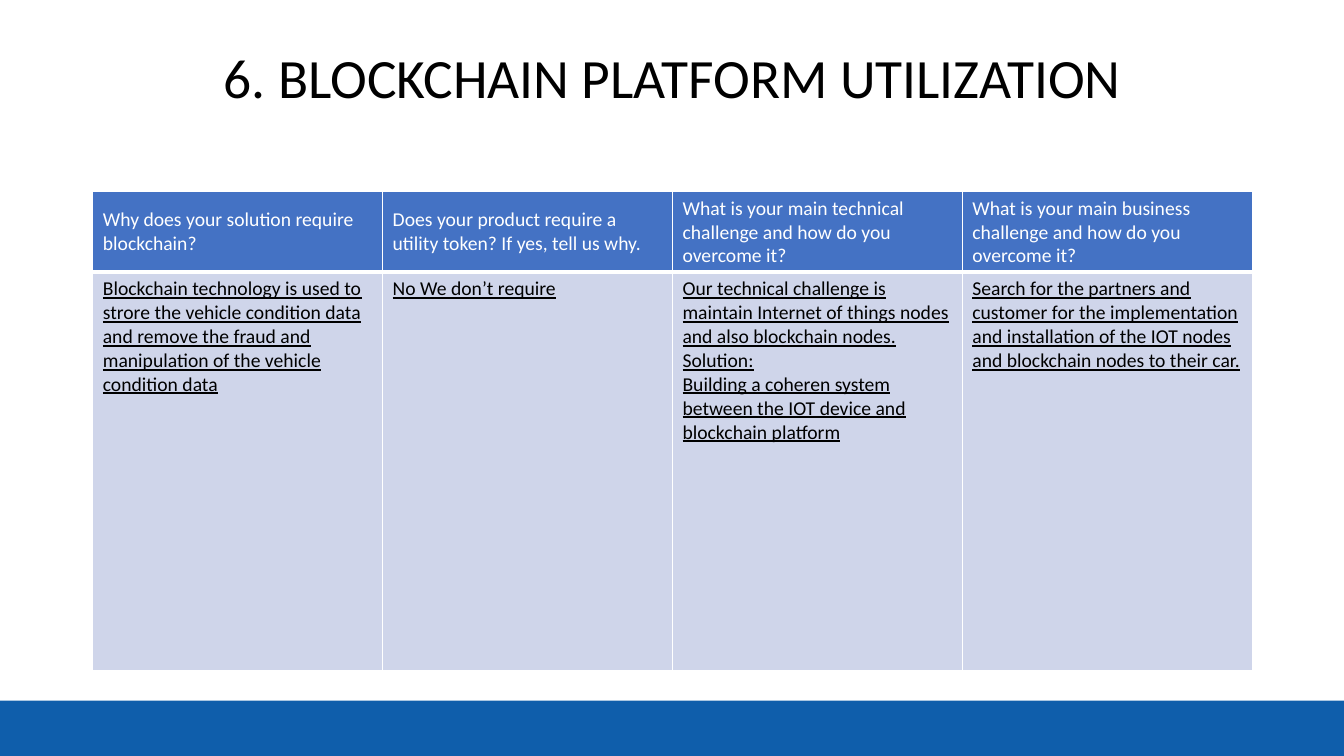
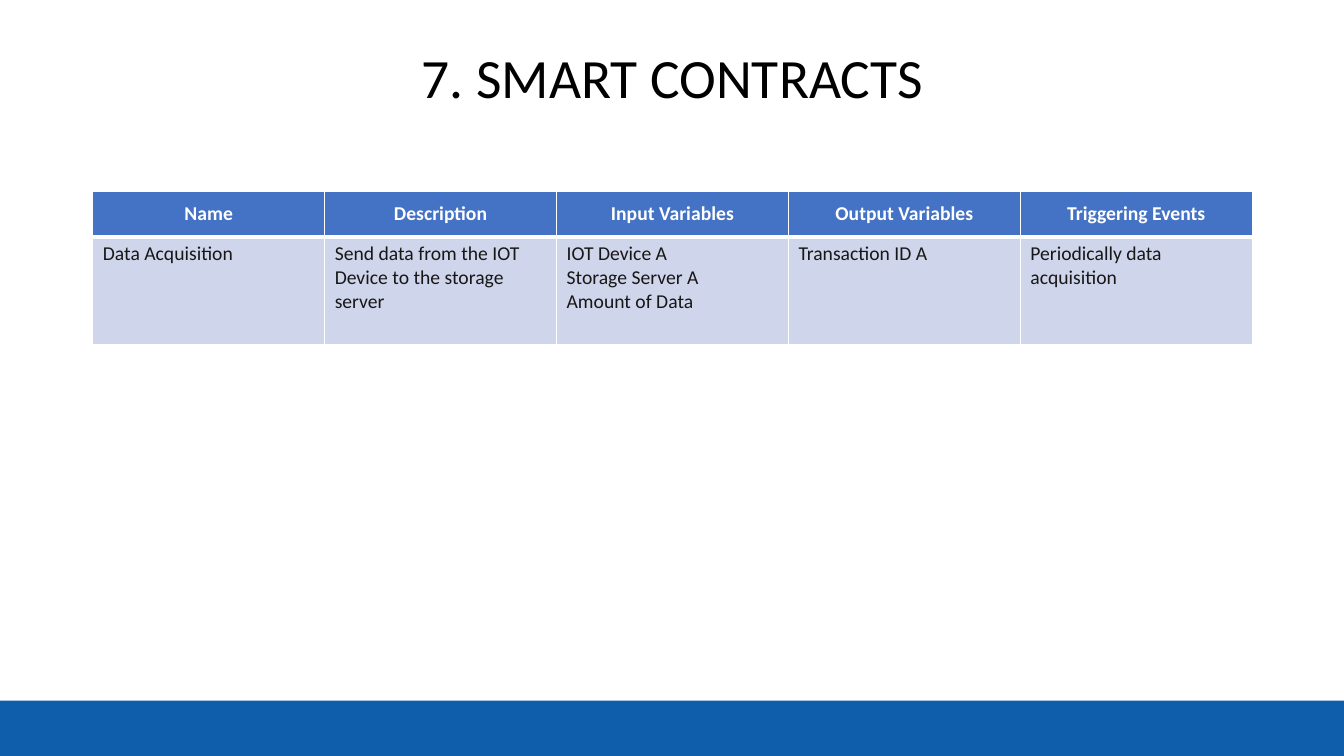
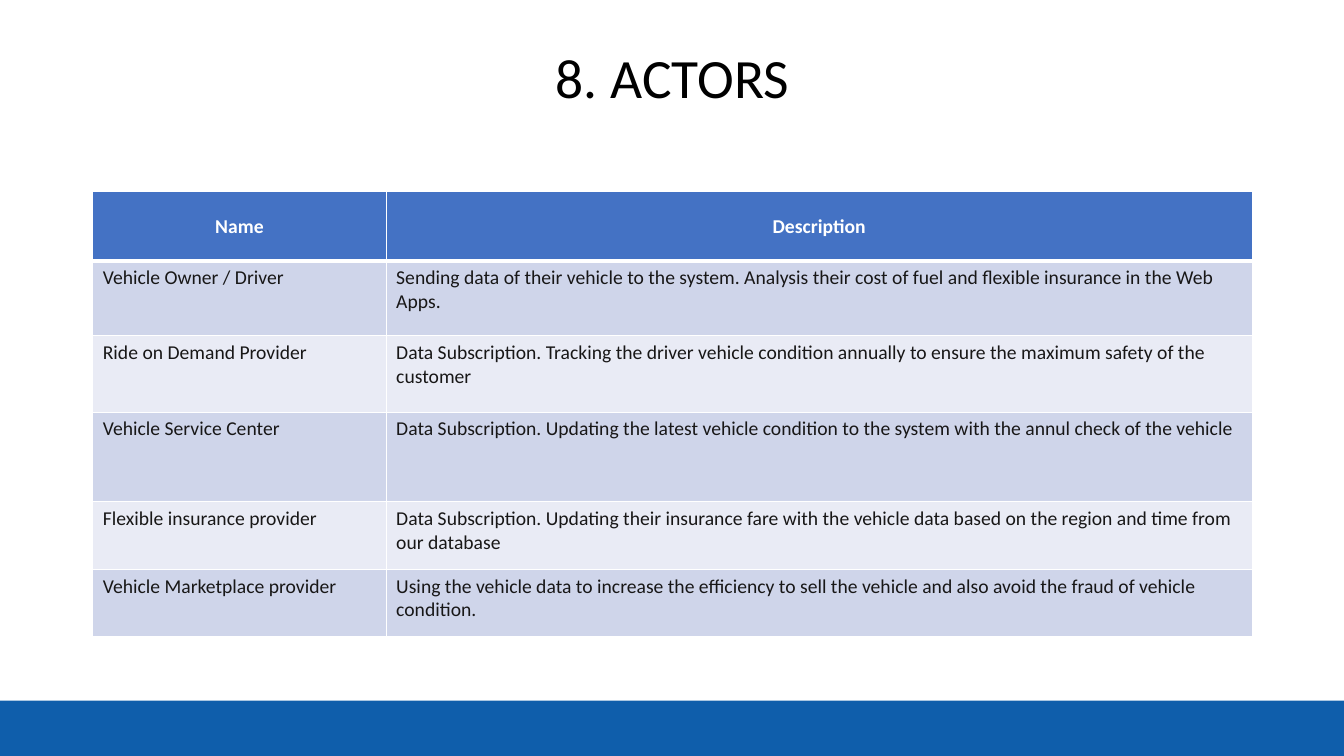
from dataclasses import dataclass
from typing import Any

from lxml.etree import SubElement
from pptx import Presentation
from pptx.dml.color import RGBColor
from pptx.enum.shapes import MSO_SHAPE as Shape
from pptx.enum.text import MSO_ANCHOR as Anchor, PP_ALIGN as Align
from pptx.oxml.ns import qn
from pptx.util import Inches, Pt

FONT = "Calibri"
WHITE, BLACK, INK = "FFFFFF", "000000", "181717"
BAND_BLUE, HEADER_BLUE = "0F5EAB", "4472C4"
ROW_FILLS = ("CFD5EA", "E9EBF5")

SLIDE_WIDTH, SLIDE_HEIGHT = 13.33, 7.5
BAND_HEIGHT = 0.55
LEFT, CONTENT_WIDTH = 0.92, 11.5
TITLE_TOP, TITLE_HEIGHT = 0.47, 0.66
TABLE_TOP = 1.9
THIN, THICK = 1, 3

TITLE_FORMAT = {"name": FONT, "size": Pt(39.6)}
TABLE_FORMAT = {"name": FONT, "size": Pt(14)}
PLAIN_TABLE = {"first_row": False, "horz_banding": False}


@dataclass(frozen=True)
class TablePage:
    title: str
    column_widths: list[float]
    row_heights: list[float]
    rows: list[list[str]]
    header_bold: bool = True
    header_align: Align = Align.CENTER
    body_color: str = INK
    body_underline: bool = False


PAGES = [
    TablePage(
        title="6. BLOCKCHAIN PLATFORM UTILIZATION",
        column_widths=[CONTENT_WIDTH / 4] * 4,
        row_heights=[0.75, 3.95],
        rows=[
            ["Why does your solution require blockchain?",
             "Does your product require a utility token? If yes, tell us why.",
             "What is your main technical challenge and how do you overcome it?",
             "What is your main business challenge and how do you overcome it?"],
            ["Blockchain technology is used to strore the vehicle condition data "
             "and remove the fraud and manipulation of the vehicle condition data",
             "No We don’t require",
             "Our technical challenge is maintain Internet of things nodes and also "
             "blockchain nodes.\nSolution:\nBuilding a coheren system between the "
             "IOT device and blockchain platform",
             "Search for the partners and customer for the implementation and "
             "installation of the IOT nodes and blockchain nodes to their car."],
        ],
        header_bold=False,
        header_align=Align.LEFT,
        body_color=BLACK,
        body_underline=True,
    ),
    TablePage(
        title="7. SMART CONTRACTS",
        column_widths=[CONTENT_WIDTH / 5] * 5,
        row_heights=[0.45, 1.07],
        rows=[
            ["Name", "Description", "Input Variables", "Output Variables",
             "Triggering Events"],
            ["Data Acquisition",
             "Send data from the IOT Device to the storage server",
             "IOT Device A\nStorage Server A\nAmount of Data",
             "Transaction ID A",
             "Periodically data acquisition"],
        ],
    ),
    TablePage(
        title="8. ACTORS",
        column_widths=[2.91, CONTENT_WIDTH - 2.91],
        row_heights=[0.69, 0.74, 0.76, 0.89, 0.67, 0.67],
        rows=[
            ["Name", "Description"],
            ["Vehicle Owner / Driver",
             "Sending data of their vehicle to the system. Analysis their cost of "
             "fuel and flexible insurance in the Web Apps."],
            ["Ride on Demand Provider",
             "Data Subscription. Tracking the driver vehicle condition annually to "
             "ensure the maximum safety of the customer"],
            ["Vehicle Service Center",
             "Data Subscription. Updating the latest vehicle condition to the "
             "system with the annul check of the vehicle"],
            ["Flexible insurance provider",
             "Data Subscription. Updating their insurance fare with the vehicle "
             "data based on the region and time from our database"],
            ["Vehicle Marketplace provider",
             "Using the vehicle data to increase the efficiency to sell the vehicle "
             "and also avoid the fraud of vehicle condition."],
        ],
    ),
]


def set_attributes(target: Any, values: dict[str, Any]) -> None:
    for name, value in values.items():
        setattr(target, name, value)


def paint(color_format: Any, color: str) -> None:
    color_format.rgb = RGBColor.from_string(color)


def fill_solid(target: Any, color: str) -> None:
    target.fill.solid()
    paint(target.fill.fore_color, color)


def add_band(slide: Any) -> None:
    band = slide.shapes.add_shape(
        Shape.RECTANGLE, 0, Inches(SLIDE_HEIGHT - BAND_HEIGHT),
        Inches(SLIDE_WIDTH), Inches(BAND_HEIGHT))
    band.shadow.inherit = False
    fill_solid(band, BAND_BLUE)
    band.line.fill.background()


def add_title(slide: Any, text: str) -> None:
    title = slide.shapes.add_textbox(
        Inches(LEFT), Inches(TITLE_TOP), Inches(CONTENT_WIDTH), Inches(TITLE_HEIGHT))
    frame = title.text_frame
    set_attributes(frame, {"word_wrap": True, "vertical_anchor": Anchor.MIDDLE})
    paragraph = frame.paragraphs[0]
    set_attributes(paragraph, {
        "text": text, "alignment": Align.CENTER, "line_spacing": 0.9})
    set_attributes(paragraph.runs[0].font, TITLE_FORMAT)
    paint(paragraph.runs[0].font.color, BLACK)


def set_borders(cell: Any, top: int, bottom: int) -> None:
    """Draw white cell edges; call before filling, as the schema orders them."""
    properties = cell._tc.get_or_add_tcPr()
    widths = {"a:lnL": THIN, "a:lnR": THIN, "a:lnT": top, "a:lnB": bottom}
    for tag, width in widths.items():
        line = SubElement(properties, qn(tag), w=str(Pt(width)))
        SubElement(SubElement(line, qn("a:solidFill")), qn("a:srgbClr"), val=WHITE)


def format_cell(cell: Any, row_index: int, page: TablePage) -> None:
    is_header = row_index == 0
    set_borders(cell, top=THICK if row_index == 1 else THIN,
                bottom=THICK if is_header else THIN)
    fill_solid(cell, HEADER_BLUE if is_header else ROW_FILLS[(row_index - 1) % 2])
    cell.vertical_anchor = Anchor.MIDDLE if is_header else Anchor.TOP
    font_format = TABLE_FORMAT | {
        "bold": is_header and page.header_bold,
        "underline": not is_header and page.body_underline,
    }
    for paragraph in cell.text_frame.paragraphs:
        paragraph.alignment = page.header_align if is_header else Align.LEFT
        for run in paragraph.runs:
            set_attributes(run.font, font_format)
            paint(run.font.color, WHITE if is_header else page.body_color)


def add_page_table(slide: Any, page: TablePage) -> None:
    table = slide.shapes.add_table(
        len(page.rows), len(page.column_widths), Inches(LEFT), Inches(TABLE_TOP),
        Inches(CONTENT_WIDTH), Inches(sum(page.row_heights))).table
    set_attributes(table, PLAIN_TABLE)
    for column, width in zip(table.columns, page.column_widths):
        column.width = Inches(width)
    for row, height in zip(table.rows, page.row_heights):
        row.height = Inches(height)
    for row_index, texts in enumerate(page.rows):
        for column_index, text in enumerate(texts):
            cell = table.cell(row_index, column_index)
            cell.text = text
            format_cell(cell, row_index, page)


def main() -> None:
    presentation = Presentation()
    presentation.slide_width = Inches(SLIDE_WIDTH)
    presentation.slide_height = Inches(SLIDE_HEIGHT)
    blank_layout = presentation.slide_layouts[6]
    for page in PAGES:
        slide = presentation.slides.add_slide(blank_layout)
        add_band(slide)
        add_title(slide, page.title)
        add_page_table(slide, page)
    presentation.save("out.pptx")


if __name__ == "__main__":
    main()
